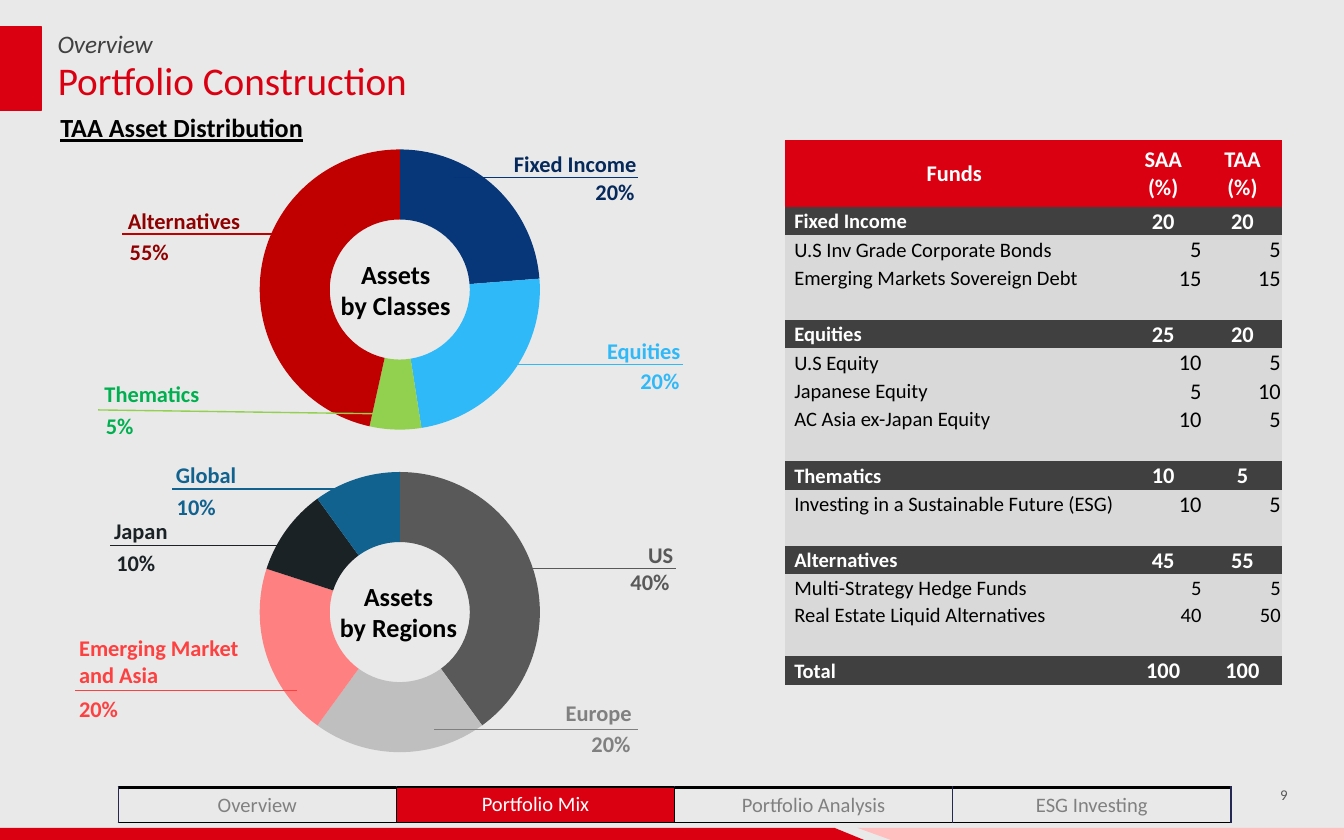
from lxml import etree
from pptx import Presentation
from pptx.chart.data import CategoryChartData
from pptx.dml.color import RGBColor
from pptx.enum import chart as charts, shapes, text
from pptx.oxml import parse_xml
from pptx.oxml.ns import nsdecls, qn
from pptx.util import Inches, Pt

RED = RGBColor(0xDB, 0x00, 0x11)
PINK = RGBColor(0xFF, 0xBF, 0xBF)
BACKDROP = RGBColor(0xE9, 0xE9, 0xE9)
BLACK = RGBColor(0, 0, 0)
WHITE = RGBColor(0xFF, 0xFF, 0xFF)
CHARCOAL = RGBColor(0x40, 0x40, 0x40)
PALE = RGBColor(0xD9, 0xD9, 0xD9)
GREY = RGBColor(0x80, 0x80, 0x80)
SLATE = RGBColor(0x59, 0x59, 0x59)
SILVER = RGBColor(0xBF, 0xBF, 0xBF)
NAVY = RGBColor(0x07, 0x37, 0x79)
NAVY_LINE = RGBColor(0x04, 0x35, 0x79)
NAVY_TEXT = RGBColor(0x05, 0x29, 0x5B)
BORDER = RGBColor(0x24, 0x28, 0x52)
SKY = RGBColor(0x30, 0xB9, 0xF8)
LIME = RGBColor(0x92, 0xD0, 0x50)
GREEN = RGBColor(0x00, 0xB0, 0x50)
CRIMSON = RGBColor(0xC0, 0x00, 0x00)
MAROON = RGBColor(0x90, 0x00, 0x00)
SALMON = RGBColor(0xFF, 0x80, 0x80)
CORAL = RGBColor(0xFF, 0x40, 0x40)
INK = RGBColor(0x1A, 0x22, 0x25)
TEAL = RGBColor(0x11, 0x62, 0x8F)
LEFT, CENTER, RIGHT = text.PP_ALIGN.LEFT, text.PP_ALIGN.CENTER, text.PP_ALIGN.RIGHT
MIDDLE = text.MSO_ANCHOR.MIDDLE
NO_GRID_STYLE = "{2D5ABB26-0587-4C30-8999-92F81FD0307C}"


def write(frame, words, size, color, align=LEFT, spacing=None, **font):
    """Fill a text frame, one paragraph for each line of words."""
    frame.word_wrap = True
    formats = {"name": "Calibri", "size": Pt(size), **font}
    for index, line in enumerate(words.split("\n")):
        para = frame.add_paragraph() if index else frame.paragraphs[0]
        para.alignment = align
        if spacing:
            para.line_spacing = spacing
        span = para.add_run()
        span.text = line
        span.font.color.rgb = color
        for key, value in formats.items():
            setattr(span.font, key, value)


def add_text(place, words, size, color, align=LEFT, **font):
    box = page.shapes.add_textbox(*map(Inches, place))
    write(box.text_frame, words, size, color, align, **font)
    return box


deck = Presentation()
deck.slide_width, deck.slide_height = Inches(10), Inches(6.25)
page = deck.slides.add_slide(deck.slide_layouts[5])
page.background.fill.solid()
page.background.fill.fore_color.rgb = BACKDROP

# Footer bands, in hundredths of an inch
for color, points in (
    (RED, [(0, 616), (621, 616), (643, 625), (0, 625)]),
    (PINK, [(638, 616), (1000, 616), (1000, 625), (663, 625)]),
):
    outline = page.shapes.build_freeform(*points[0], scale=Inches(0.01))
    outline.add_line_segments(points[1:], close=True)
    band = outline.convert_to_shape()
    band.shadow.inherit = False
    band.fill.solid()
    band.fill.fore_color.rgb = color
    band.line.fill.background()

# Heading
marker = page.shapes.add_shape(
    shapes.MSO_SHAPE.RECTANGLE, 0, Inches(0.2), Inches(0.31), Inches(0.62))
marker.shadow.inherit = False
marker.fill.solid()
marker.fill.fore_color.rgb = RED
marker.line.color.rgb = RED
marker.line.width = Pt(0.75)
title = page.shapes.title
title.left, title.top, title.width, title.height = map(Inches, (0.33, 0.38, 4.02, 0.47))
title.text_frame.vertical_anchor = MIDDLE
write(title.text_frame, "Portfolio Construction", 21, RED, spacing=0.9)
add_text((0.33, 0.19, 4.02, 0.27), "Overview", 13.5, CHARCOAL, spacing=0.9, italic=True)
add_text((0.35, 0.78, 5.01, 0.34), "TAA Asset Distribution", 14, BLACK,
         bold=True, underline=True)

# Doughnut charts
for top, caption, caption_left, values, colors in (
    (0.97, "Assets\nby Classes", 2.36, (24, 24, 6, 47), (NAVY, SKY, LIME, CRIMSON)),
    (3.37, "Assets\nby Regions", 2.38, (40, 20, 20, 10, 10),
     (SLATE, SILVER, SALMON, INK, TEAL)),
):
    data = CategoryChartData()
    data.categories = [str(number + 1) for number in range(len(values))]
    data.add_series("Series 1", values)
    doughnut = page.shapes.add_chart(
        charts.XL_CHART_TYPE.DOUGHNUT, Inches(1.2), Inches(top),
        Inches(3.55), Inches(2.37), data).chart
    doughnut.has_legend = doughnut.has_title = False
    doughnut.font.name, doughnut.font.size = "Arial", Pt(10)
    doughnut.font.color.rgb = BLACK
    plot = doughnut.plots[0]
    plot.vary_by_categories = False
    for index, color in enumerate(colors):
        fill = plot.series[0].points[index].format.fill
        fill.solid()
        fill.fore_color.rgb = color
    chart_xml = doughnut.element
    next(chart_xml.iter(qn("c:holeSize"))).set("val", "75")
    area = next(chart_xml.iter(qn("c:plotArea")))
    for old in area.findall(qn("c:layout")):
        area.remove(old)
    area.insert(0, parse_xml(
        f'<c:layout {nsdecls("c")}><c:manualLayout><c:layoutTarget val="inner"/>'
        '<c:xMode val="edge"/><c:yMode val="edge"/><c:x val="0.2"/><c:y val="0.06"/>'
        '<c:w val="0.6"/><c:h val="0.88"/></c:manualLayout></c:layout>'))
    add_text((caption_left, top + 0.9, 1.17, 0.57), caption, 14, BLACK, CENTER, bold=True)

# Callouts: name and share (left, top, width, alignment), leader ends, colours
for name, name_at, share, share_at, leader, color, line_color in (
    ("Fixed Income", (3.64, 1.07, 1.28, CENTER), "20%", (3.96, 1.28, 0.86, RIGHT),
     (3.38, 1.32, 4.75, 1.32), NAVY_TEXT, NAVY_LINE),
    ("Equities", (4.15, 2.46, 1.28, CENTER), "20%", (4.27, 2.68, 1.28, CENTER),
     (3.71, 2.71, 5.08, 2.71), SKY, SKY),
    ("Alternatives", (0.73, 1.49, 1.28, CENTER), "55%", (0.47, 1.72, 1.28, CENTER),
     (0.91, 1.74, 2.27, 1.74), MAROON, CRIMSON),
    ("Thematics", (0.49, 2.78, 1.28, CENTER), "5%", (0.25, 3.02, 1.28, CENTER),
     (0.73, 3.05, 2.9, 3.08), GREEN, LIME),
    ("Emerging Market\nand Asia", (0.49, 4.67, 2.19, LEFT), "20%", (0.49, 5.12, 0.86, LEFT),
     (0.56, 5.14, 2.21, 5.14), CORAL, CORAL),
    ("Global", (1.21, 3.38, 1.28, LEFT), "10%", (0.82, 3.62, 1.28, CENTER),
     (1.28, 3.64, 2.64, 3.64), TEAL, TEAL),
    ("US", (3.82, 3.98, 2.19, CENTER), "40%", (4.22, 4.18, 0.86, RIGHT),
     (3.88, 4.23, 5.03, 4.23), SLATE, SLATE),
    ("Europe", (3.36, 5.15, 2.19, CENTER), "20%", (3.93, 5.38, 0.86, RIGHT),
     (3.23, 5.43, 4.75, 5.43), GREY, GREY),
    ("Japan", (0.75, 3.8, 1.28, LEFT), "10%", (0.37, 4.04, 1.28, CENTER),
     (0.82, 4.06, 2.18, 4.06), INK, INK),
):
    for words, (left, top, width, align) in ((name, name_at), (share, share_at)):
        height = 0.3 + 0.2 * words.count("\n")
        add_text((left, top, width, height), words, 12, color, align, bold=True)
    line = page.shapes.add_connector(shapes.MSO_CONNECTOR.STRAIGHT, *map(Inches, leader))
    line.line.color.rgb = line_color
    line.line.width = Pt(0.75)
    etree.SubElement(line.element.spPr, qn("a:effectLst"))

# Fund table: each group has a heading row, its funds and a blank row
groups = (
    (("Fixed Income", 20, 20), ("U.S Inv Grade Corporate Bonds", 5, 5),
     ("Emerging Markets Sovereign Debt", 15, 15)),
    (("Equities", 25, 20), ("U.S Equity", 10, 5), ("Japanese Equity", 5, 10),
     ("AC Asia ex-Japan Equity", 10, 5)),
    (("Thematics", 10, 5), ("Investing in a Sustainable Future (ESG)", 10, 5)),
    (("Alternatives", 45, 55), ("Multi-Strategy Hedge Funds", 5, 5),
     ("Real Estate Liquid Alternatives", 40, 50)),
    (("Total", 100, 100),),
)
rows = [("header", ("Funds", "SAA (%)", "TAA (%)"))]
for group in groups:
    rows += [("fund" if index else "heading", row) for index, row in enumerate(group)]
    rows.append(("blank", ("", "", "")))
rows.pop()
holder = page.shapes.add_table(
    len(rows), 3, Inches(5.84), Inches(1.04), Inches(3.7), Inches(3.85))
next(holder.element.iter(qn("a:tableStyleId"))).text = NO_GRID_STYLE
funds = holder.table
for column, width in zip(funds.columns, (2.52, 0.59, 0.59)):
    column.width = Inches(width)
for number, (kind, values) in enumerate(rows):
    funds.rows[number].height = Inches(0.45 if kind == "header" else 0.2)
    for place, value in enumerate(values):
        cell = funds.cell(number, place)
        cell.fill.solid()
        cell.fill.fore_color.rgb = {"header": RED, "heading": CHARCOAL}.get(kind, PALE)
        cell.vertical_anchor = MIDDLE if kind == "header" or not place else text.MSO_ANCHOR.BOTTOM
        if kind != "header":
            cell.margin_left = Inches(0.01 if place else 0.07)
            cell.margin_right = cell.margin_top = Inches(0.01)
            cell.margin_bottom = 0
        if kind == "blank":
            end = etree.SubElement(cell.text_frame.paragraphs[0]._p, qn("a:endParaRPr"))
            end.set("sz", "1200")
            continue
        align = CENTER if kind == "header" else LEFT
        if kind != "header" and place:
            align = CENTER if kind == "heading" else RIGHT
        small = kind != "header" and (not place or values[0].startswith(("Multi", "Real")))
        write(cell.text_frame, str(value), 11 if small else 12,
              BLACK if kind == "fund" else WHITE, align, bold=kind != "fund")

# Section navigation, with the current section on top
holder = page.shapes.add_table(
    1, 4, Inches(0.88), Inches(5.86), Inches(8.28), Inches(0.26))
next(holder.element.iter(qn("a:tableStyleId"))).text = NO_GRID_STYLE
for cell, words in zip(holder.table.rows[0].cells,
                       ("Overview", "Portfolio Mix", "Portfolio Analysis", "ESG Investing")):
    cell.fill.background()
    cell.vertical_anchor = MIDDLE
    cell.margin_left = cell.margin_right = Inches(0.07)
    cell.margin_top = cell.margin_bottom = Inches(0.03)
    write(cell.text_frame, words, 11, GREY, CENTER)
    for index, (side, color, points) in enumerate((
            ("lnL", BORDER, 0.75), ("lnR", BORDER, 0.75),
            ("lnT", BLACK, 1.5), ("lnB", BLACK, 0.75))):
        cell._tc.get_or_add_tcPr().insert(index, parse_xml(
            f'<a:{side} {nsdecls("a")} w="{Pt(points)}"><a:solidFill>'
            f'<a:srgbClr val="{color}"/></a:solidFill></a:{side}>'))
current = page.shapes.add_shape(
    shapes.MSO_SHAPE.RECTANGLE, Inches(2.95), Inches(5.86), Inches(2.07), Inches(0.26))
current.shadow.inherit = False
current.fill.solid()
current.fill.fore_color.rgb = RED
current.line.color.rgb = BLACK
current.line.width = Pt(0.75)
write(current.text_frame, "Portfolio Mix", 11, WHITE, CENTER, spacing=Pt(11))

# Page number
folio = add_text((9.18, 5.75, 0.5, 0.33), "9", 8, SLATE, RIGHT)
folio.text_frame.vertical_anchor = MIDDLE

deck.save("out.pptx")
